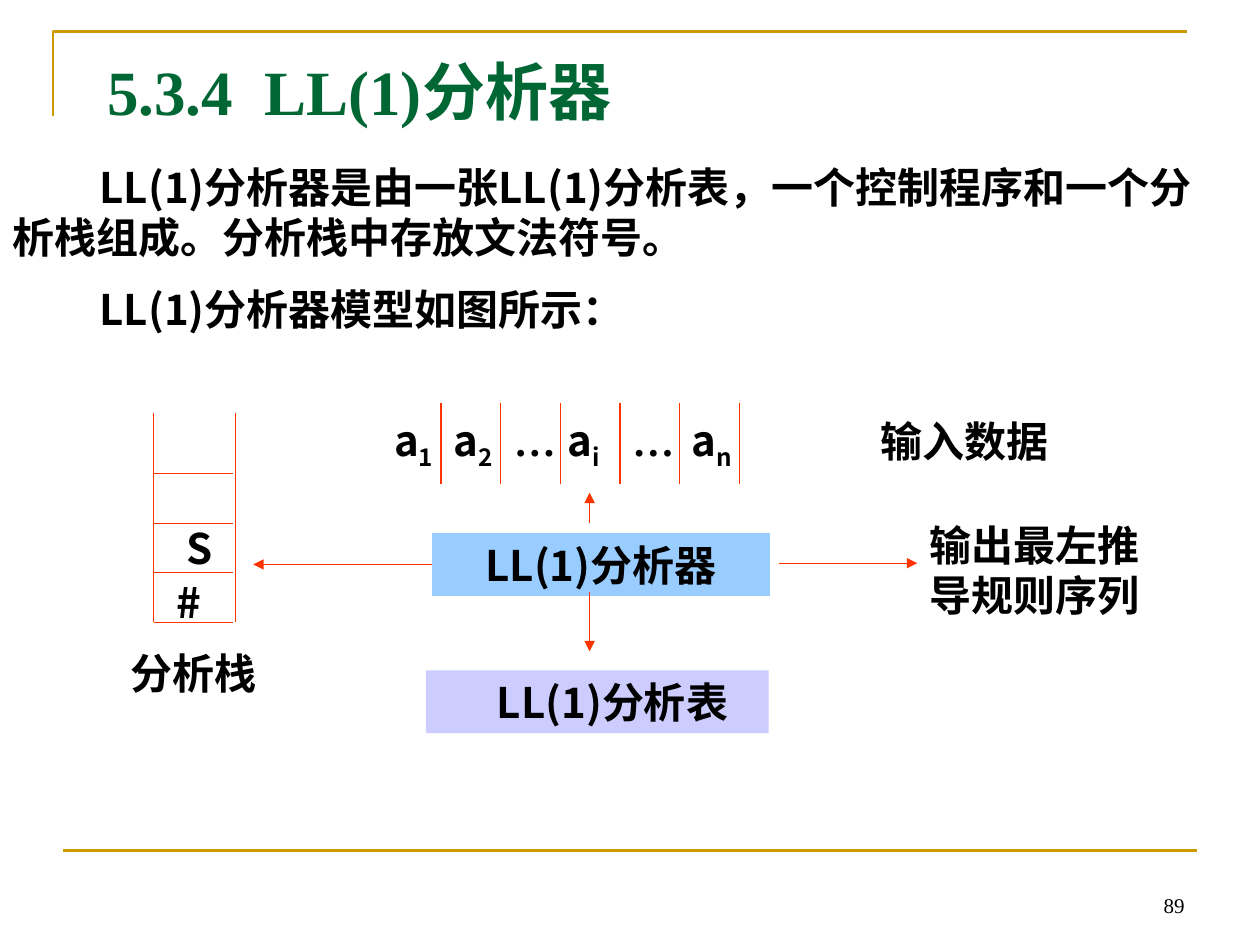
"""Build the slide that explains the model of an LL(1) parser."""
from dataclasses import dataclass

import pptx
import pptx.dml.color
import pptx.enum.shapes
import pptx.enum.text
import pptx.oxml.ns
import pptx.util
from lxml import etree
from pptx.util import Inches

SANS = "Noto Sans CJK SC"
SERIF = "Times New Roman"
BLACK = "000000"
RED = "FF3300"
GOLD = "CC9900"
ALIGN = pptx.enum.text.PP_ALIGN
ANCHOR = pptx.enum.text.MSO_ANCHOR


@dataclass
class Label:
    text: str
    left: float
    top: float
    width: float
    height: float = 0.5
    subscript: str = ""
    font: str = SANS


@dataclass
class Line:
    start: tuple[float, float]
    end: tuple[float, float]
    color: str = RED
    weight: float = 0.75
    arrow: bool = False


def rgb(color: str) -> pptx.dml.color.RGBColor:
    return pptx.dml.color.RGBColor.from_string(color)


def add_element(parent, tag: str, **attributes: str):
    return etree.SubElement(parent, pptx.oxml.ns.qn(tag), **attributes)


def place(shape, left: float, top: float, width: float, height: float) -> None:
    shape.left, shape.top = Inches(left), Inches(top)
    shape.width, shape.height = Inches(width), Inches(height)


def format_runs(paragraph, size: float = 24, font: str = SANS, asian: str = SANS,
                color: str = BLACK, bold: bool = True) -> None:
    for run in paragraph.runs:
        run.font.size = pptx.util.Pt(size)
        run.font.bold = bold
        run.font.name = font
        run.font.color.rgb = rgb(color)
        add_element(run.font._element, "a:ea", typeface=asian)


def add_label(slide, label: Label):
    shape = slide.shapes.add_textbox(Inches(label.left), Inches(label.top),
                                     Inches(label.width), Inches(label.height))
    shape.text_frame.word_wrap = True
    shape.text_frame.text = label.text
    paragraph = shape.text_frame.paragraphs[0]
    if label.subscript:
        run = paragraph.add_run()
        run.text = label.subscript
        run.font._element.set("baseline", "-25000")
    format_runs(paragraph, font=label.font, asian=label.font)
    return shape


def add_box(slide, label: Label, fill: str, shift: float = 0):
    shape = slide.shapes.add_shape(
        pptx.enum.shapes.MSO_SHAPE.RECTANGLE, Inches(label.left), Inches(label.top),
        Inches(label.width), Inches(label.height))
    shape.shadow.inherit = False
    shape.fill.solid()
    shape.fill.fore_color.rgb = rgb(fill)
    shape.line.fill.background()
    frame = shape.text_frame
    frame.margin_left = Inches(0.1 + 2 * shift)
    frame.vertical_anchor = ANCHOR.TOP
    frame.text = label.text
    frame.paragraphs[0].alignment = ALIGN.CENTER
    format_runs(frame.paragraphs[0])
    return shape


def add_line(slide, line: Line):
    connector = slide.shapes.add_connector(
        pptx.enum.shapes.MSO_CONNECTOR.STRAIGHT,
        *(Inches(value) for value in line.start + line.end))
    connector.line.color.rgb = rgb(line.color)
    connector.line.width = pptx.util.Pt(line.weight)
    if line.arrow:
        add_element(connector.line._get_or_add_ln(), "a:tailEnd", type="triangle")
    add_element(connector._element.spPr, "a:effectLst")
    return connector


def add_frame(slide) -> None:
    builder = slide.shapes.build_freeform(Inches(0.42), Inches(0.92))
    builder.add_line_segments([(Inches(0.42), Inches(0.25)),
                               (Inches(9.42), Inches(0.25))], close=False)
    corner = builder.convert_to_shape()
    corner.shadow.inherit = False
    corner.fill.background()
    corner.line.color.rgb = rgb(GOLD)
    corner.line.width = pptx.util.Pt(1.5)
    add_line(slide, Line((0.5, 6.75), (9.5, 6.75), GOLD, 1.5))
    number = add_label(slide, Label("89", 7.17, 6.83, 2.33, font=SERIF))
    number.text_frame.vertical_anchor = ANCHOR.BOTTOM
    paragraph = number.text_frame.paragraphs[0]
    paragraph.alignment = ALIGN.RIGHT
    for run in paragraph.runs:
        run.font.size = pptx.util.Pt(12)
        run.font.bold = False


def fill_placeholders(slide) -> None:
    title, body = slide.placeholders
    place(title, 0.75, 0.36, 8.58, 0.71)
    title.text_frame.text = "5.3.4  LL(1)分析器"
    title.text_frame.vertical_anchor = ANCHOR.MIDDLE
    title.text_frame.paragraphs[0].alignment = ALIGN.LEFT
    format_runs(title.text_frame.paragraphs[0], 36, SERIF, color="006633")

    place(body, 0, 1.23, 9.88, 1.51)
    body.text_frame.text = (
        "LL(1)分析器是由一张LL(1)分析表，一个控制程序和一个分析栈组成。"
        "分析栈中存放文法符号。\nLL(1)分析器模型如图所示：")
    for frame in (title.text_frame, body.text_frame):
        frame.auto_size = pptx.enum.text.MSO_AUTO_SIZE.NONE
    for paragraph, space in zip(body.text_frame.paragraphs, (0, 12)):
        paragraph.space_before = pptx.util.Pt(space)
        properties = paragraph._element.get_or_add_pPr()
        properties.set("marL", "0")
        properties.set("indent", str(Inches(0.69)))
        add_element(properties, "a:buNone")
        format_runs(paragraph)


def add_stack(slide) -> None:
    for x in (1.22, 1.87):
        add_line(slide, Line((x, 3.28), (x, 4.94)))
    for row in range(4):
        y = 3.76 + row * 0.393
        add_line(slide, Line((1.22, y), (1.85, y)))
    for label in (Label("#", 1.3, 4.53, 0.47), Label("S", 1.38, 4.1, 0.55),
                  Label("分析栈", 0.94, 5.09, 1.42)):
        add_label(slide, label)


def add_input_tape(slide) -> None:
    for column in range(6):
        x = 3.5 + column * 0.474
        add_line(slide, Line((x, 3.2), (x, 3.84)))
    for label in (
            Label("a", 3.03, 3.24, 0.55, subscript="1"),
            Label("a", 3.5, 3.24, 0.55, subscript="2"),
            Label("…", 3.98, 3.24, 0.39, font=SERIF),
            Label("a", 4.41, 3.24, 0.8, subscript="i"),
            Label("…", 4.92, 3.24, 0.62, font=SERIF),
            Label("a", 5.39, 3.24, 0.94, subscript="n"),
            Label("输入数据", 6.89, 3.25, 1.73)):
        add_label(slide, label)


def add_analyser(slide) -> None:
    analyser = add_box(slide, Label("LL(1)分析器", 3.43, 4.23, 2.68), "99CCFF")
    add_box(slide, Label("LL(1)分析表", 3.38, 5.32, 2.72), "CCCCFF", shift=0.12)
    add_label(slide, Label("输出最左推导规则序列", 7.28, 4.07, 2.13, 0.91))
    for start, end in (((4.68, 4.7), (4.68, 5.17)), ((4.68, 4.15), (4.68, 3.91)),
                       ((6.18, 4.47), (7.28, 4.47))):
        add_line(slide, Line(start, end, arrow=True))
    to_stack = add_line(slide, Line((3.43, 4.48), (2.01, 4.48), arrow=True))
    to_stack.begin_connect(analyser, 1)


def main() -> None:
    presentation = pptx.Presentation()
    presentation.slide_width = Inches(10)
    presentation.slide_height = Inches(7.5)
    slide = presentation.slides.add_slide(presentation.slide_layouts[1])
    add_frame(slide)
    fill_placeholders(slide)
    add_stack(slide)
    add_input_tape(slide)
    add_analyser(slide)
    presentation.save("out.pptx")


if __name__ == "__main__":
    main()
